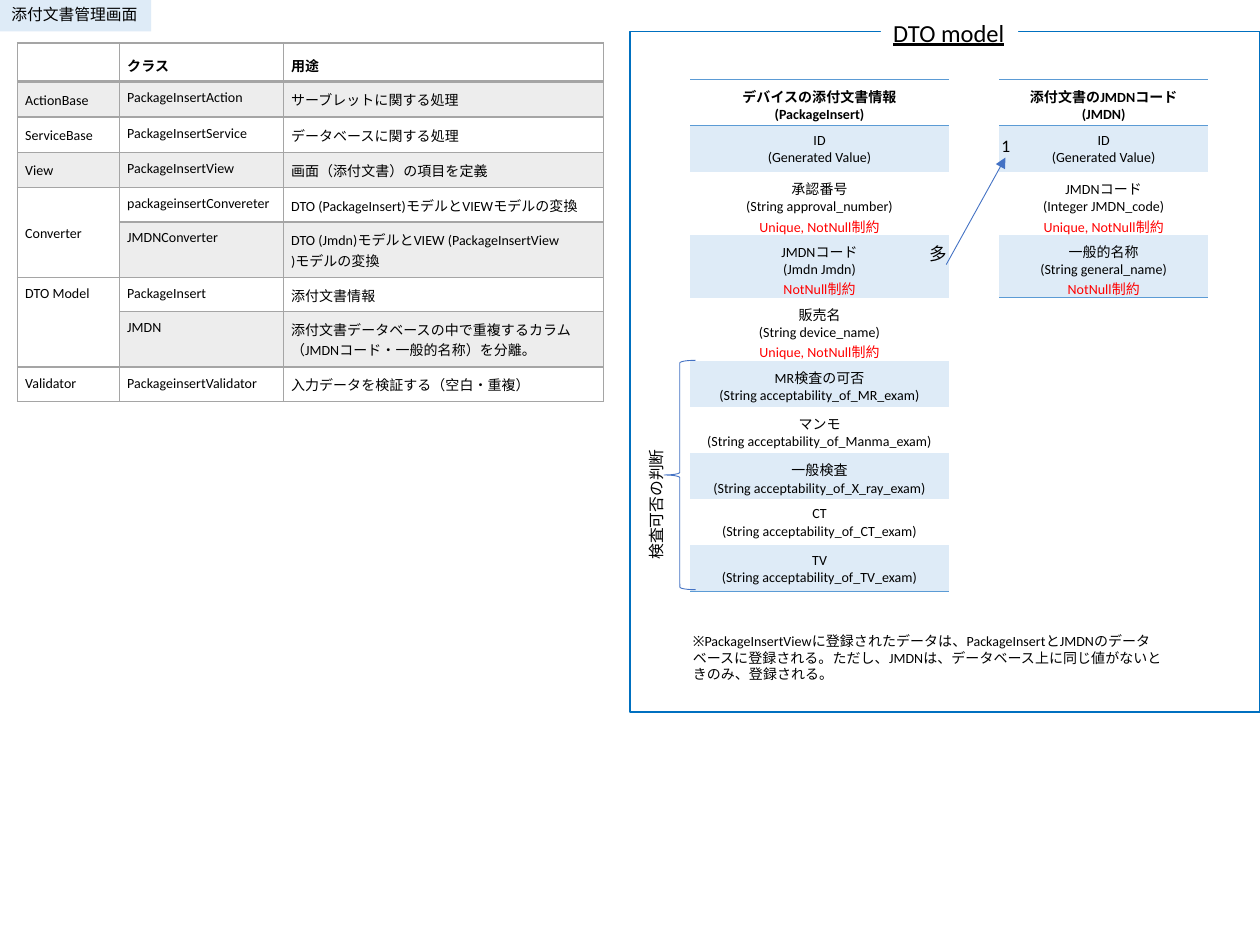
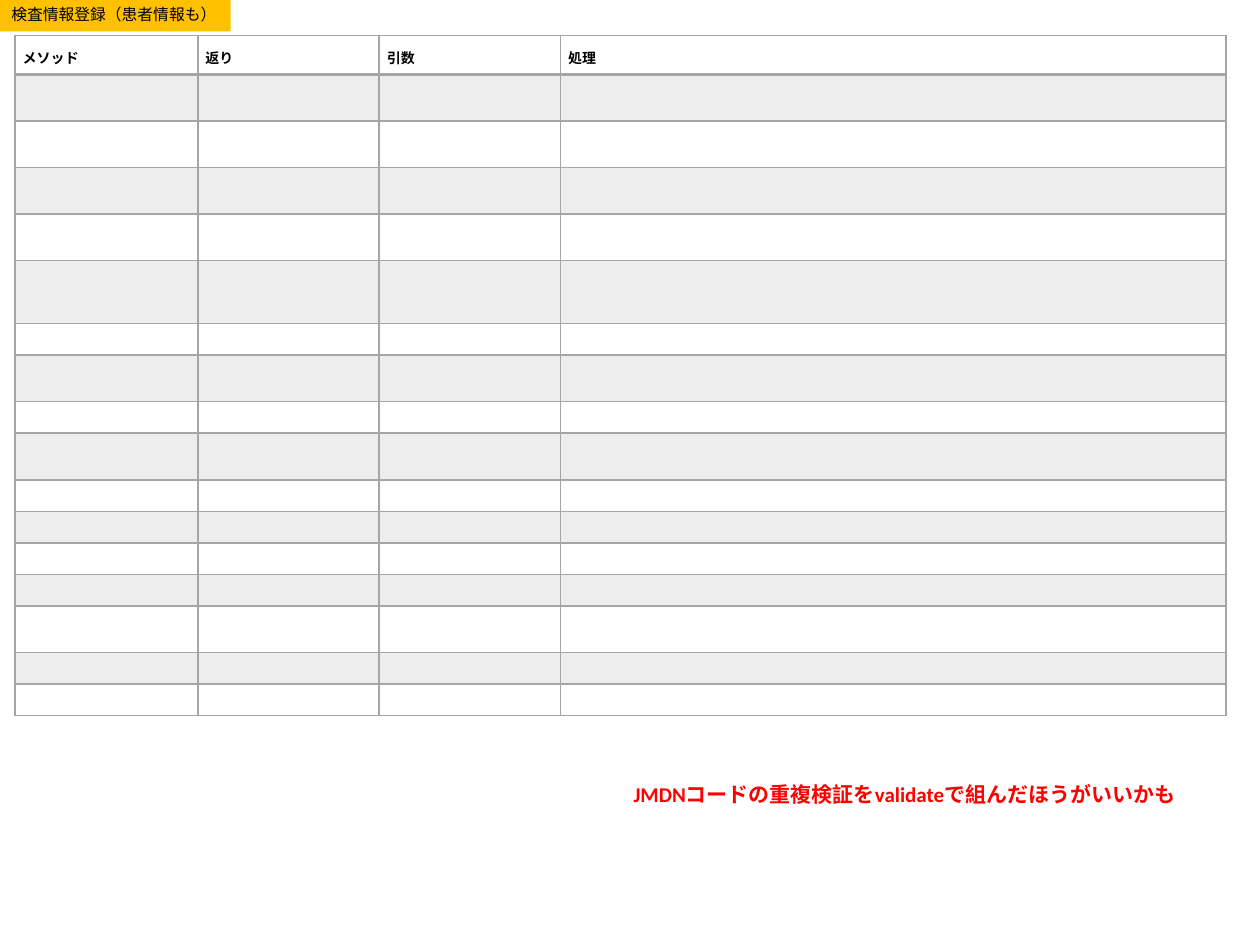
from lxml.etree import SubElement
from pptx import Presentation
from pptx.dml.color import RGBColor
from pptx.enum.shapes import MSO_CONNECTOR, MSO_SHAPE
from pptx.enum.text import MSO_ANCHOR, MSO_AUTO_SIZE, PP_ALIGN
from pptx.oxml.ns import qn
from pptx.util import Inches, Pt

FONT = "Calibri"
BLACK, WHITE, RED = "000000", "FFFFFF", "FF0000"
GREY, PALE_GREY = "A5A5A5", "EDEDED"
BLUE, PALE_BLUE = "5B9BD5", "DEEBF7"
LINK_BLUE, FRAME_BLUE, AMBER = "4472C4", "0070C0", "FFC000"
NO_STYLE = "{2D5ABB26-0587-4C30-8999-92F81FD0307C}"
TITLE_ONLY = 5

CLASS_COLUMNS = [0.81, 1.3, 2.54]
CLASS_HEIGHTS = [0.31, 0.28, 0.28, 0.28, 0.27, 0.44, 0.27, 0.44, 0.27]
CLASS_ROWS = [
    ("", "クラス", "用途"),
    ("ActionBase", "PackageInsertAction", "サーブレットに関する処理"),
    ("ServiceBase", "PackageInsertService", "データベースに関する処理"),
    ("View", "PackageInsertView", "画面（添付文書）の項目を定義"),
    ("Converter", "packageinsertConvereter", "DTO (PackageInsert)モデルとVIEWモデルの変換"),
    ("", "JMDNConverter", "DTO (Jmdn)モデルとVIEW (PackageInsertView\n)モデルの変換"),
    ("DTO Model", "PackageInsert", "添付文書情報"),
    ("", "JMDN", "添付文書データベースの中で重複するカラム（JMDNコード・一般的名称）を分離。"),
    ("Validator", "PackageinsertValidator", "入力データを検証する（空白・重複）"),
]
MERGED_FROM = [4, 6]
CENTRED_GROUPS = range(1, 5)

# Each field: name, declaration and, where there is one, its constraint
JMDN_FIELDS = [
    ("添付文書のJMDNコード", "(JMDN)"),
    ("ID", "(Generated Value)"),
    ("JMDNコード", "(Integer JMDN_code)", "Unique, NotNull制約"),
    ("一般的名称", "(String general_name)", "NotNull制約"),
]
PACKAGE_INSERT_FIELDS = [
    ("デバイスの添付文書情報", "(PackageInsert)"),
    ("ID", "(Generated Value)"),
    ("承認番号", "(String approval_number)", "Unique, NotNull制約"),
    ("JMDNコード", "(Jmdn Jmdn)", "NotNull制約"),
    ("販売名", "(String device_name)", "Unique, NotNull制約"),
    ("MR検査の可否", "(String acceptability_of_MR_exam)"),
    ("マンモ", "(String acceptability_of_Manma_exam)"),
    ("一般検査", "(String acceptability_of_X_ray_exam)"),
    ("CT", "(String acceptability_of_CT_exam)"),
    ("TV", "(String acceptability_of_TV_exam)"),
]
REGISTRATION_NOTE = (
    "※PackageInsertViewに登録されたデータは、PackageInsertとJMDNのデータベースに登録される。"
    "ただし、JMDNは、データベース上に同じ値がないときのみ、登録される。"
)

METHOD_COLUMNS = [1.45, 1.44, 1.44, 5.28]
METHOD_HEADINGS = ("メソッド", "返り", "引数", "処理")
METHOD_HEIGHTS = [0.31, *[0.37] * 4, 0.5, 0.25, 0.37, 0.25, 0.37,
                  *[0.25] * 4, 0.37, 0.25, 0.25]
METHOD_ROWS = [METHOD_HEADINGS] + [("",) * 4] * (len(METHOD_HEIGHTS) - 1)


def rgb(color):
    return RGBColor.from_string(color)


def format_paragraph(paragraph, size, color=BLACK, bold=False, underline=False):
    for run in paragraph.runs:
        font = run.font
        font.name, font.size = FONT, Pt(size)
        font.bold, font.underline = bold, underline
        font.color.rgb = rgb(color)
    if not paragraph.runs:
        SubElement(paragraph._p, qn("a:endParaRPr"), sz=str(size * 100))


def set_text(text_frame, text, size, **style):
    text_frame.text = text
    for paragraph in text_frame.paragraphs:
        format_paragraph(paragraph, size, **style)


def set_border(cell, side, color, width):
    line = SubElement(cell._tc.get_or_add_tcPr(), qn(f"a:ln{side}"), w=str(Pt(width)))
    fill = SubElement(line, qn("a:solidFill"))
    SubElement(fill, qn("a:srgbClr"), val=color)


def set_cell_fill(cell, color):
    if color:
        cell.fill.solid()
        cell.fill.fore_color.rgb = rgb(color)
    else:
        cell.fill.background()


def add_plain_table(slide, left, top, columns, heights):
    frame = slide.shapes.add_table(
        len(heights), len(columns), Inches(left), Inches(top),
        Inches(sum(columns)), Inches(sum(heights)))
    table = frame.table
    table._tbl.tblPr.find(qn("a:tableStyleId")).text = NO_STYLE
    table.first_row = table.horz_banding = False
    for column, width in zip(table.columns, columns):
        column.width = Inches(width)
    for row, height in zip(table.rows, heights):
        row.height = Inches(height)
    return table


def add_grid_table(slide, left, top, columns, heights, rows, merged_from=()):
    """Grey grid with a bold heading row and every second row shaded."""
    table = add_plain_table(slide, left, top, columns, heights)
    for row in merged_from:
        table.cell(row, 0).merge(table.cell(row + 1, 0))
    for row_index, row in enumerate(rows):
        heading = row_index == 0
        for column_index, text in enumerate(row):
            cell = table.cell(row_index, column_index)
            cell.margin_left = cell.margin_right = cell.margin_top = Inches(0.06)
            cell.margin_bottom = Inches(0.05)
            cell.vertical_anchor = MSO_ANCHOR.BOTTOM if heading else MSO_ANCHOR.TOP
            set_text(cell.text_frame, text, 8, bold=heading)
            for side in "LRTB":
                heavy = (heading and side == "B") or (row_index == 1 and side == "T")
                set_border(cell, side, GREY, 2 if heavy else 1)
            shaded = row_index % 2 and not cell.is_spanned and not cell.is_merge_origin
            set_cell_fill(cell, PALE_GREY if shaded else None)
    return table


def add_model_table(slide, left, width, fields):
    """Entity table: rows as tall as their lines, constraints in red."""
    heights = [0.1 + 0.13 * len(lines) for lines in fields]
    table = add_plain_table(slide, left, 0.63, [width], heights)
    last = len(fields) - 1
    for index, lines in enumerate(fields):
        cell = table.cell(index, 0)
        cell.text_frame.text = "\n".join(lines)
        for line_index, paragraph in enumerate(cell.text_frame.paragraphs):
            paragraph.alignment = PP_ALIGN.CENTER
            color = RED if line_index == 2 else BLACK
            format_paragraph(paragraph, 8, color, bold=index == 0)
        if index == 0:
            set_border(cell, "T", BLUE, 1)
        if index in (0, last):
            set_border(cell, "B", BLUE, 1)
        set_cell_fill(cell, PALE_BLUE if index % 2 else None)


def add_text(slide, left, top, width, height, text, size, **style):
    box = slide.shapes.add_textbox(Inches(left), Inches(top), Inches(width), Inches(height))
    box.text_frame.word_wrap = True
    set_text(box.text_frame, text, size, **style)
    return box


def add_plain_shape(slide, kind, left, top, width, height, fill=None, line=None, line_width=1):
    shape = slide.shapes.add_shape(
        kind, Inches(left), Inches(top), Inches(width), Inches(height))
    shape.shadow.inherit = False
    if fill:
        shape.fill.solid()
        shape.fill.fore_color.rgb = rgb(fill)
    else:
        shape.fill.background()
    if line:
        shape.line.color.rgb = rgb(line)
        shape.line.width = Pt(line_width)
    else:
        shape.line.fill.background()
    return shape


def set_label(shape, text, size, **style):
    """One unwrapped line at the top left of the shape."""
    text_frame = shape.text_frame
    text_frame.word_wrap = False
    text_frame.auto_size = MSO_AUTO_SIZE.NONE
    text_frame.vertical_anchor = MSO_ANCHOR.TOP
    set_text(text_frame, text, size, **style)
    text_frame.paragraphs[0].alignment = PP_ALIGN.LEFT


def add_titled_slide(presentation, title_text, width, color):
    slide = presentation.slides.add_slide(presentation.slide_layouts[TITLE_ONLY])
    title = slide.shapes.title
    title.left, title.top = Inches(0), Inches(0)
    title.width, title.height = Inches(width), Inches(0.25)
    title.fill.solid()
    title.fill.fore_color.rgb = rgb(color)
    set_label(title, title_text, 9)
    title.text_frame.margin_left = Inches(0.09)
    title.text_frame.margin_right = Inches(0)
    title.text_frame.margin_top = Inches(0.04)
    return slide


def add_arrow(slide, start, end):
    arrow = slide.shapes.add_connector(
        MSO_CONNECTOR.STRAIGHT, *map(Inches, start), *map(Inches, end))
    arrow.line.color.rgb = rgb(LINK_BLUE)
    arrow.line.width = Pt(0.5)
    SubElement(arrow.line._get_or_add_ln(), qn("a:tailEnd"), type="triangle")
    SubElement(arrow._element.spPr, qn("a:effectLst"))


def build_package_insert_slide(presentation):
    slide = add_titled_slide(presentation, "添付文書管理画面", 1.2, PALE_BLUE)
    class_table = add_grid_table(
        slide, 0.14, 0.34, CLASS_COLUMNS, CLASS_HEIGHTS, CLASS_ROWS, MERGED_FROM)
    for row in CENTRED_GROUPS:
        class_table.cell(row, 0).vertical_anchor = MSO_ANCHOR.MIDDLE

    add_text(slide, 5.4, 4.97, 3.92, 0.5, REGISTRATION_NOTE, 8)
    add_model_table(slide, 7.93, 1.66, JMDN_FIELDS)
    add_model_table(slide, 5.48, 2.05, PACKAGE_INSERT_FIELDS)
    add_arrow(slide, (7.51, 2.1), (7.98, 1.25))
    add_text(slide, 7.85, 1.02, 0.27, 0.27, "1", 10)
    add_text(slide, 7.28, 1.88, 0.34, 0.27, "多", 10)

    add_plain_shape(slide, MSO_SHAPE.LEFT_BRACE, 5.27, 2.86, 0.25, 1.82,
                    line=LINK_BLUE, line_width=0.5)
    brace_label = add_text(slide, 4.5, 3.71, 1.41, 0.25, "検査可否の判断", 9)
    brace_label.rotation = 270

    add_plain_shape(slide, MSO_SHAPE.RECTANGLE, 5, 0.25, 5, 5.4, line=FRAME_BLUE)
    frame_heading = add_plain_shape(
        slide, MSO_SHAPE.RECTANGLE, 6.99, 0.09, 1.09, 0.34, fill=WHITE)
    set_label(frame_heading, "DTO model", 14, underline=True)


def build_exam_slide(presentation):
    slide = add_titled_slide(presentation, "検査情報登録（患者情報も）", 1.83, AMBER)
    add_grid_table(slide, 0.12, 0.28, METHOD_COLUMNS, METHOD_HEIGHTS, METHOD_ROWS)
    add_text(slide, 4.93, 6.15, 4.77, 0.3,
             "JMDNコードの重複検証をvalidateで組んだほうがいいかも", 12, color=RED, bold=True)


def main():
    presentation = Presentation()
    presentation.slide_width, presentation.slide_height = Inches(10), Inches(7.5)
    build_package_insert_slide(presentation)
    build_exam_slide(presentation)
    presentation.save("out.pptx")


if __name__ == "__main__":
    main()
